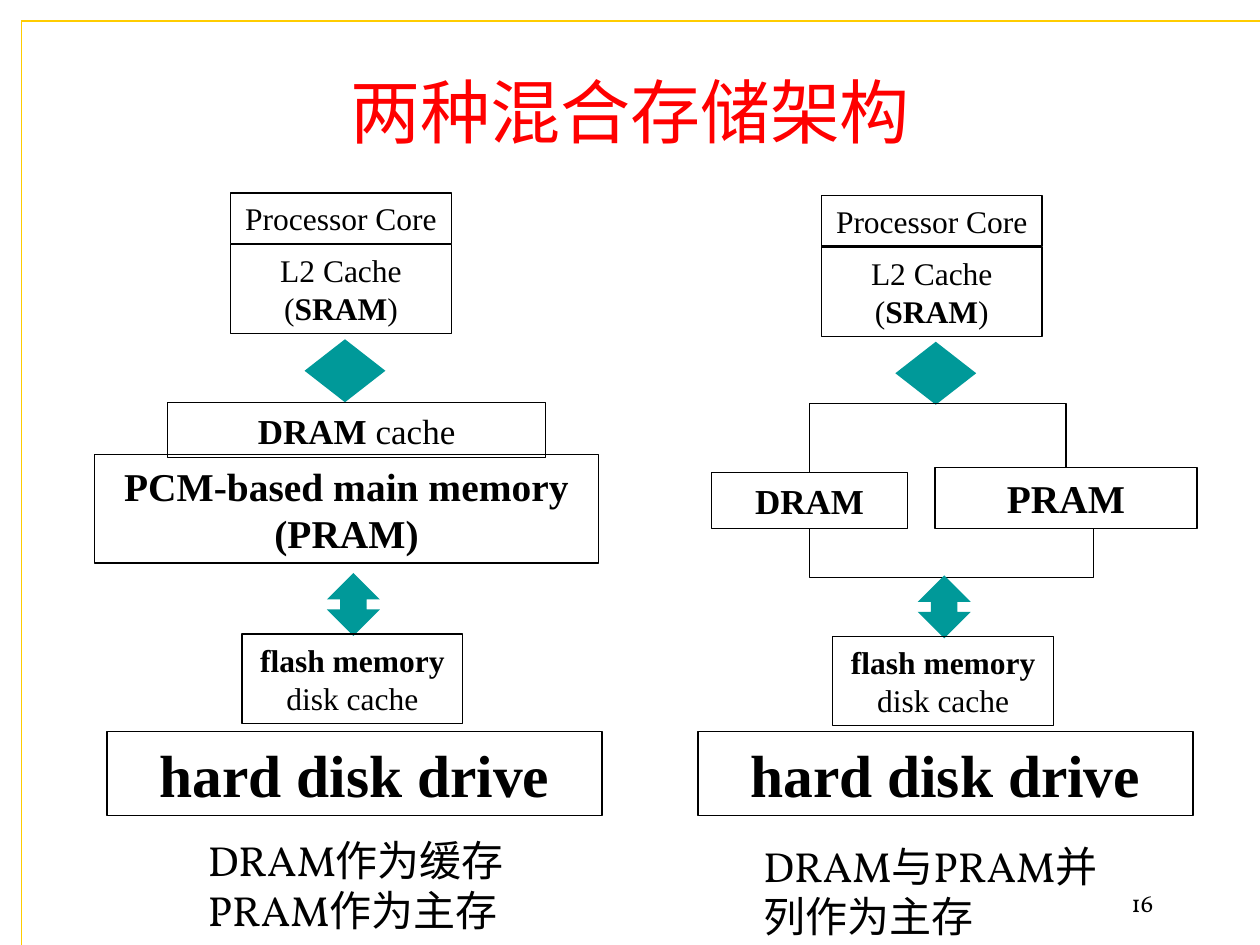
import pptx
import pptx.util
import pptx.dml.color
import pptx.enum.shapes
import pptx.enum.text
import pptx.oxml.ns
from lxml import etree

Cm, Pt = pptx.util.Cm, pptx.util.Pt
SHAPE = pptx.enum.shapes.MSO_SHAPE
ALIGN = pptx.enum.text.PP_ALIGN
ANCHOR = pptx.enum.text.MSO_ANCHOR
COLORS = {"title": "FF0000", "ink": "000000", "arrow": "009999", "frame": "FFCC00"}


def rgb(name):
    return pptx.dml.color.RGBColor.from_string(COLORS[name])


def set_font(p, size, name, color="ink"):
    p.font.size = Pt(size)
    p.font.name = name
    p.font.color.rgb = rgb(color)


def add_box(s, x, y, w, h, size, *parts):
    """Outlined label; each part is (text, bold), and "\\n" is a line break."""
    sp = s.shapes.add_shape(SHAPE.RECTANGLE, Cm(x), Cm(y), Cm(w), Cm(h))
    sp.shadow.inherit = False
    sp.fill.background()
    sp.line.color.rgb = rgb("ink")
    sp.line.width = Pt(0.75)
    sp.text_frame.word_wrap = True
    p = sp.text_frame.paragraphs[0]
    p.alignment = ALIGN.CENTER
    set_font(p, size, "Times New Roman")
    for text, bold in parts:
        if text == "\n":
            p.add_line_break()
            continue
        r = p.add_run()
        r.text = text
        r.font.bold = bold


def add_arrow(s, x, y, w):
    sp = s.shapes.add_shape(SHAPE.UP_DOWN_ARROW, Cm(x), Cm(y), Cm(w), Cm(1.27))
    sp.shadow.inherit = False
    sp.fill.solid()
    sp.fill.fore_color.rgb = rgb("arrow")
    sp.line.fill.background()


def add_bus(s, *points):
    """Open right-angled line through the points."""
    pts = [(Cm(x), Cm(y)) for x, y in points]
    fb = s.shapes.build_freeform(*pts[0])
    fb.add_line_segments(pts[1:], close=False)
    sp = fb.convert_to_shape()
    sp.shadow.inherit = False
    sp.fill.background()
    sp.line.color.rgb = rgb("ink")
    sp.line.width = Pt(0.75)


def add_text(s, x, y, w, h, size, lines, align=ALIGN.LEFT):
    tf = s.shapes.add_textbox(Cm(x), Cm(y), Cm(w), Cm(h)).text_frame
    tf.word_wrap = True
    for i, line in enumerate(lines):
        p = tf.paragraphs[0] if i == 0 else tf.add_paragraph()
        p.text = line
        p.alignment = align
        set_font(p, size, "Vollkorn")


def cached_memory(s, x, y):
    add_box(s, x + 1.22, y, 7.62, 1.12, 20, ("DRAM", True), (" cache", False))
    add_box(s, x - 0.25, y + 1.06, 10.16, 2.18, 22.5,
            ("PCM-based main memory (PRAM)", True))


def parallel_memory(s, x, y):
    add_box(s, x + 0.28, y + 1.37, 3.94, 1.12, 20, ("DRAM", True))
    add_box(s, x + 4.78, y + 1.27, 5.28, 1.22, 22.5, ("PRAM", True))
    dram, pram, low = x + 2.25, x + 7.42, x + 7.97
    add_bus(s, (dram, y + 1.37), (dram, y - 0.03), (pram, y - 0.03), (pram, y + 1.27))
    add_bus(s, (dram, y + 2.49), (dram, y + 3.48), (low, y + 3.48), (low, y + 2.49))


def add_hierarchy(s, x, y, h, memory):
    """Storage levels from processor to disk, with the given memory level."""
    add_box(s, x + 2.49, y, 4.45, 1.02, 18, ("Processor Core", False))
    add_box(s, x + 2.49, y + 1.04, 4.45, 1.8, 18,
            ("L2 Cache (", False), ("SRAM", True), (")", False))
    add_arrow(s, x + 3.98, y + 2.95, 1.63)
    memory(s, x, y + 4.22)
    add_arrow(s, x + 4.43, y + 7.66, 1.07)
    add_box(s, x + 2.72, y + 8.89, 4.45, 1.8, 18,
            ("flash memory", True), ("\n", False), ("disk cache", False))
    add_box(s, x, y + h - 1.7, 9.98, 1.7, 34, ("hard disk drive", True))


def add_frame(s, x, y, right, bottom):
    for x2, y2, width in ((x, bottom, 0.75), (right, y, 1)):
        c = s.shapes.add_connector(pptx.enum.shapes.MSO_CONNECTOR.STRAIGHT,
                                   Cm(x), Cm(y), Cm(x2), Cm(y2))
        c.line.color.rgb = rgb("frame")
        c.line.width = Pt(width)
        etree.SubElement(c._element.spPr, pptx.oxml.ns.qn("a:effectLst"))


def add_title(s, x, y, w, h, text):
    sp = s.shapes.title
    sp.left, sp.top, sp.width, sp.height = Cm(x), Cm(y), Cm(w), Cm(h)
    tf = sp.text_frame
    tf.text = text
    tf.vertical_anchor = ANCHOR.MIDDLE
    tf.paragraphs[0].alignment = ALIGN.CENTER
    set_font(tf.paragraphs[0], 40, "Arial", "title")


def main():
    prs = pptx.Presentation()
    prs.slide_width, prs.slide_height = Cm(25.4), Cm(19.05)
    s = prs.slides.add_slide(prs.slide_layouts[5])
    add_frame(s, 0.43, 0.43, 25.4, 19.05)
    add_title(s, 0.64, 1.27, 24.13, 1.9, "两种混合存储架构")
    add_hierarchy(s, 2.16, 3.89, 12.55, cached_memory)
    add_hierarchy(s, 14.07, 3.94, 12.5, parallel_memory)
    add_text(s, 3.94, 16.69, 8.2, 2.31, 24, ["DRAM作为缓存", "PRAM作为主存"])
    add_text(s, 15.14, 16.81, 7.65, 2.31, 24, ["DRAM与PRAM并列作为主存"])
    add_text(s, 21.16, 17.78, 2.34, 0.84, 14, ["16"], ALIGN.RIGHT)
    prs.save("out.pptx")


if __name__ == "__main__":
    main()
